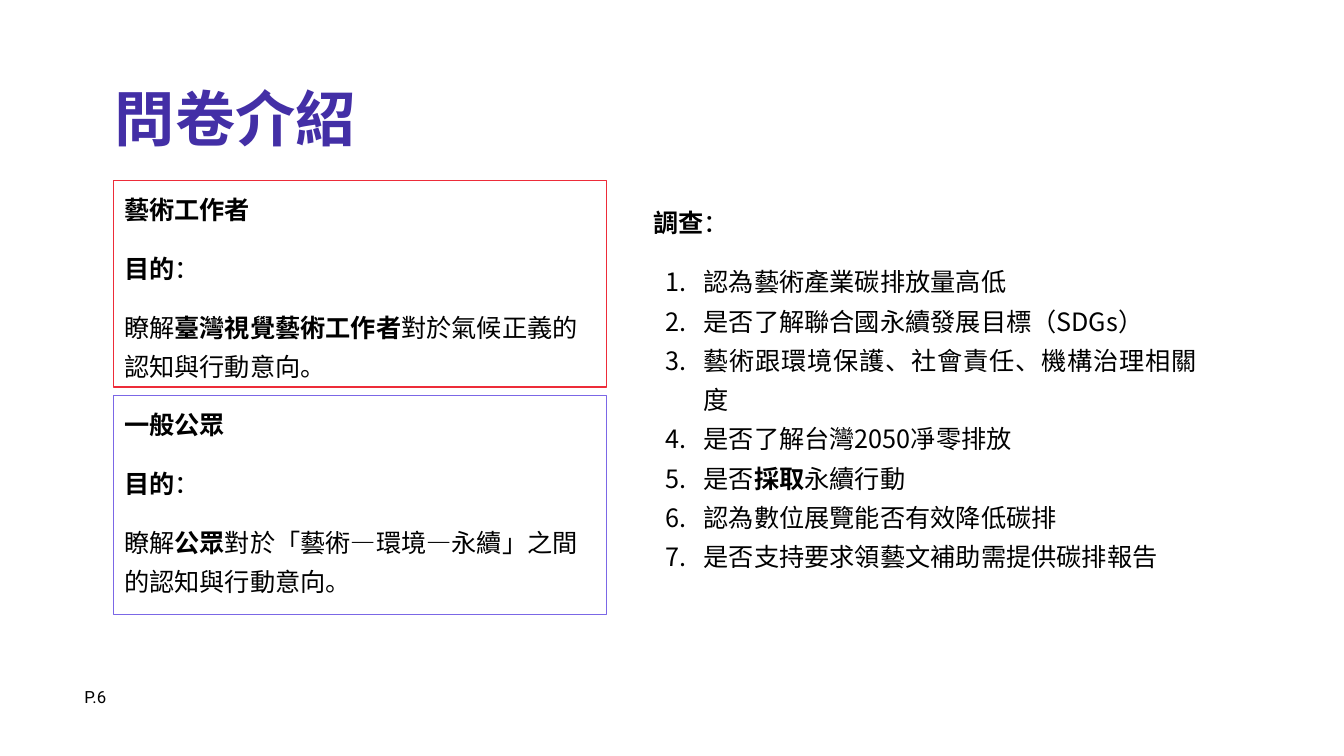
from lxml import etree
from pptx import Presentation
from pptx.dml.color import RGBColor
from pptx.enum.text import MSO_ANCHOR, MSO_AUTO_SIZE, PP_ALIGN
from pptx.oxml.ns import qn
from pptx.util import Inches, Pt

LEFT, JUSTIFY = PP_ALIGN.LEFT, PP_ALIGN.JUSTIFY
TOP, MIDDLE = MSO_ANCHOR.TOP, MSO_ANCHOR.MIDDLE
FIXED, GROW = MSO_AUTO_SIZE.NONE, MSO_AUTO_SIZE.SHAPE_TO_FIT_TEXT
CJK, ROBOTO = "Noto Sans CJK TC", "Roboto"
COLORS = {"title": "432FA6", "text": "000000", "artists": "ED2C39", "public": "7B67E6"}

presentation = Presentation()
presentation.slide_width = Inches(13.33)
presentation.slide_height = Inches(7.5)
slide = presentation.slides.add_slide(presentation.slide_layouts[4])
column = presentation.slide_width / 100
row = presentation.slide_height / 100


def place(shape, area, anchor, auto_size=FIXED, inset=0.05):
    left, top, width, height = area
    bounds = {"left": left * column, "top": top * row,
              "width": width * column, "height": height * row}
    for name, value in bounds.items():
        setattr(shape, name, round(value))
    frame_format = {"word_wrap": True, "auto_size": auto_size, "vertical_anchor": anchor,
                    "margin_left": Inches(0.1), "margin_right": Inches(0.1),
                    "margin_top": Inches(inset), "margin_bottom": Inches(inset)}
    for name, value in frame_format.items():
        setattr(shape.text_frame, name, value)


def write(paragraph, runs, size=18, color="text", font_name=CJK, numbered=False, **layout):
    properties = paragraph._p.get_or_add_pPr()
    properties.set("marL", str(Inches(0.5 if numbered else 0)))
    properties.set("indent", str(Inches(-0.38 if numbered else 0)))
    if numbered:
        bullet_color = etree.SubElement(properties, qn("a:buClr"))
        etree.SubElement(bullet_color, qn("a:srgbClr"), val=COLORS["text"])
        etree.SubElement(properties, qn("a:buFont"), typeface=CJK)
        etree.SubElement(properties, qn("a:buAutoNum"), type="arabicPeriod")
    else:
        etree.SubElement(properties, qn("a:buNone"))
    paragraph_format = {"alignment": LEFT, "line_spacing": 1.3, "space_before": Pt(0),
                        "space_after": Pt(0), **layout}
    for name, value in paragraph_format.items():
        setattr(paragraph, name, value)
    for text, bold in runs:
        run = paragraph.add_run()
        run.text = text
        for name, value in {"size": Pt(size), "bold": bold, "name": font_name}.items():
            setattr(run.font, name, value)
        run.font.color.rgb = RGBColor.from_string(COLORS[color])
        etree.SubElement(run._r.get_or_add_rPr(), qn("a:ea"), typeface=font_name)


title = slide.shapes.title
place(title, (7.8, 12, 71.78, 8.4), MIDDLE)
write(title.text_frame.paragraphs[0], [("問卷介紹", True)], 43, "title", line_spacing=0.9)

placeholders = {shape.placeholder_format.idx: shape for shape in slide.placeholders}
audiences = [
    (1, "artists", 23.87, 27.33, "藝術工作者",
     [("瞭解", False), ("臺灣視覺藝術工作者", True), ("對於氣候正義的認知與行動意向。", False)]),
    (2, "public", 52.27, 29.07, "一般公眾",
     [("瞭解", False), ("公眾", True), ("對於「藝術—環境—永續」之間的認知與行動意向。", False)]),
]
for index, color, top, height, audience, purpose in audiences:
    box = placeholders[index]
    place(box, (8.48, top, 36.68, height), TOP)
    box.line.color.rgb = RGBColor.from_string(COLORS[color])
    box.line.width = Pt(0.75)
    frame = box.text_frame
    write(frame.paragraphs[0], [(audience, True)])
    for runs in ([("目的", True), ("：", False)], purpose):
        write(frame.add_paragraph(), runs, space_before=Pt(14))

survey = placeholders[3]
place(survey, (47.86, 26.13, 41.94, 50.13), TOP, GROW, 0.1)
write(survey.text_frame.paragraphs[0], [("調查", True), ("：", False)],
      alignment=JUSTIFY, line_spacing=1.0)
questions = [
    [("認為藝術產業碳排放量高低", False)],
    [("是否了解聯合國永續發展目標（SDGs）", False)],
    [("藝術跟環境保護、社會責任、機構治理相關度", False)],
    [("是否了解台灣2050凈零排放", False)],
    [("是否", False), ("採取", True), ("永續行動", False)],
    [("認為數位展覽能否有效降低碳排", False)],
    [("是否支持要求領藝文補助需提供碳排報告", False)],
]
for number, runs in enumerate(questions):
    write(survey.text_frame.add_paragraph(), runs, numbered=True, alignment=JUSTIFY,
          space_before=Pt(0 if number else 14))

unused = placeholders[4].element
unused.getparent().remove(unused)

page_number = slide.shapes.add_textbox(0, 0, 0, 0)
place(page_number, (5.55, 90.4, 4.65, 3.47), MIDDLE)
write(page_number.text_frame.paragraphs[0], [("P.6", False)], 12, font_name=ROBOTO,
      line_spacing=1.0)

presentation.save("out.pptx")
